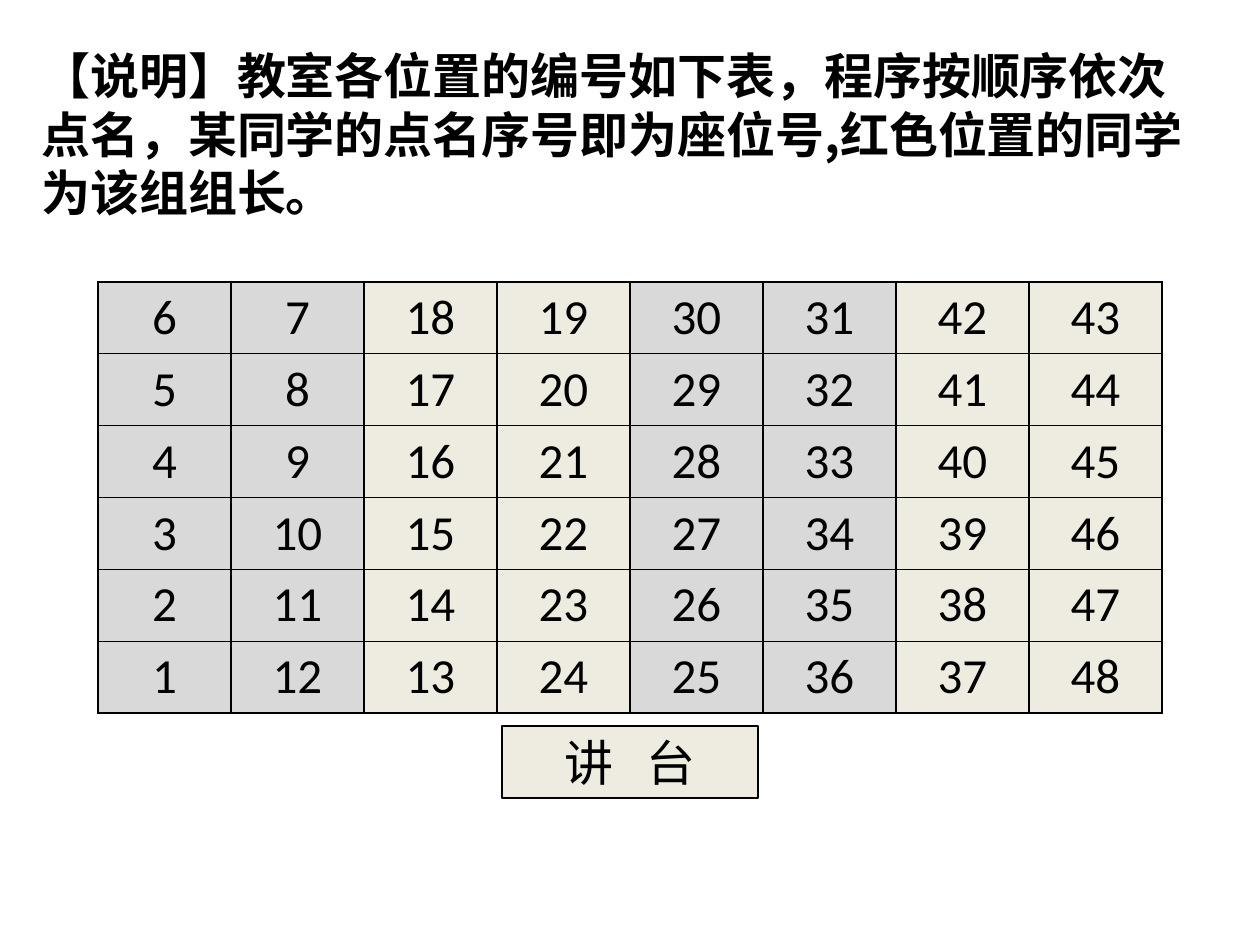
from lxml.etree import SubElement
from pptx import Presentation
from pptx.dml.color import RGBColor
from pptx.enum.shapes import MSO_SHAPE
from pptx.enum.text import MSO_ANCHOR, PP_ALIGN
from pptx.oxml.ns import qn
from pptx.util import Inches, Pt

PX = Inches(1) / 126
COLORS = {"ink": "000000", "gray": "D9D9D9", "cream": "EEECE1"}
CJK_FONT = "Noto Sans CJK SC"
ROWS, COLUMNS = 6, 8


def px(*lengths):
    return [round(length * PX) for length in lengths]


def style(paragraph, name, align, bold=False):
    paragraph.alignment = align
    font = paragraph.font
    font.size = Pt(28)
    font.bold = bold
    font.color.rgb = RGBColor.from_string(COLORS["ink"])
    font.name = name
    properties = paragraph._p.pPr.find(qn("a:defRPr"))
    SubElement(properties, qn("a:ea"), typeface=name)


deck = Presentation()
deck.slide_width, deck.slide_height = px(1260, 945)
page = deck.slides.add_slide(deck.slide_layouts[6])

seats = page.shapes.add_table(ROWS, COLUMNS, *px(98, 282, 133 * COLUMNS, 60 * ROWS)).table
seats.first_row = False
seats.horz_banding = False
for row in range(ROWS):
    for column in range(COLUMNS):
        cell = seats.cell(row, column)
        upward = column % 2 == 0
        number = ROWS * column + (ROWS - row if upward else row + 1)
        cell.text = str(number)
        cell.vertical_anchor = MSO_ANCHOR.MIDDLE
        cell.margin_left, cell.margin_top, cell.margin_right, cell.margin_bottom = px(10, 6, 10, 6)
        style(cell.text_frame.paragraphs[0], "Calibri", PP_ALIGN.CENTER)
        for side in ("L", "R", "T", "B"):
            border = SubElement(cell._tc.get_or_add_tcPr(), qn(f"a:ln{side}"), w=str(Pt(0.75)))
            paint = SubElement(border, qn("a:solidFill"))
            SubElement(paint, qn("a:srgbClr"), val=COLORS["ink"])
        cell.fill.solid()
        shade = "gray" if column // 2 % 2 == 0 else "cream"
        cell.fill.fore_color.rgb = RGBColor.from_string(COLORS[shade])

podium = page.shapes.add_shape(MSO_SHAPE.RECTANGLE, *px(502, 726, 256, 72))
podium.shadow.inherit = False
podium.fill.solid()
podium.fill.fore_color.rgb = RGBColor.from_string(COLORS["cream"])
podium.line.color.rgb = RGBColor.from_string(COLORS["ink"])
podium.line.width = Pt(1.5)
podium.text_frame.vertical_anchor = MSO_ANCHOR.MIDDLE
para = podium.text_frame.paragraphs[0]
style(para, CJK_FONT, PP_ALIGN.CENTER)
for text in ("讲", " ", "台"):
    span = para.add_run()
    span.text = text
    if text == " ":
        span._r.get_or_add_rPr().set("spc", "1250")

box = page.shapes.add_textbox(*px(29, 39, 1171, 207))
box.text_frame.word_wrap = True
para = box.text_frame.paragraphs[0]
para.text = "【说明】教室各位置的编号如下表，程序按顺序依次点名，某同学的点名序号即为座位号,红色位置的同学为该组组长。"
style(para, CJK_FONT, PP_ALIGN.LEFT, bold=True)

deck.save("out.pptx")
